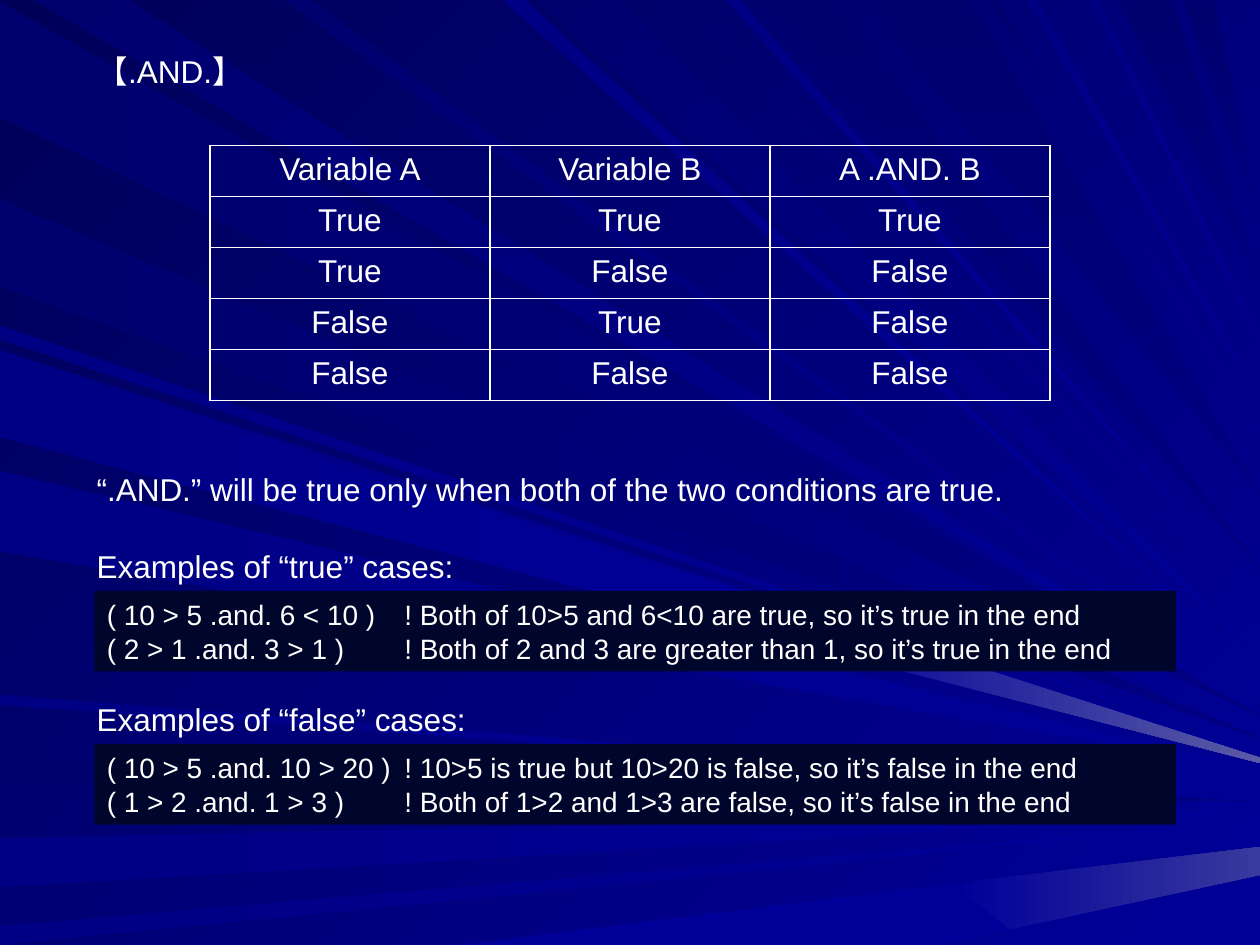
from lxml import etree
from pptx import Presentation
from pptx.dml.color import RGBColor
from pptx.enum.shapes import MSO_SHAPE
from pptx.enum.text import MSO_ANCHOR, MSO_AUTO_SIZE, PP_ALIGN
from pptx.oxml.ns import qn
from pptx.util import Pt

RECTANGLE = MSO_SHAPE.RECTANGLE
TOP, MIDDLE = MSO_ANCHOR.TOP, MSO_ANCHOR.MIDDLE
LEFT, CENTER = PP_ALIGN.LEFT, PP_ALIGN.CENTER
NO_FIT = MSO_AUTO_SIZE.NONE

WHITE = RGBColor.from_string("FFFFFF")
CODE_FILL = RGBColor.from_string("00062B")
SKY_DARK = RGBColor.from_string("000058")
SKY_LIGHT = RGBColor.from_string("000099")
NIGHT = RGBColor.from_string("00006E")
DEEP = RGBColor.from_string("000080")
DUSK = RGBColor.from_string("000085")
HAZE = RGBColor.from_string("39399E")
GLOW = RGBColor.from_string("5A5AA6")

WIDTH, HEIGHT = 720, 540
LEFT_RAYS = [
    (NIGHT, DEEP, 0, [(1, 67), (114, 164), (429, 449)]),
    (DUSK, SKY_LIGHT, 0, [(186, 194), (200, 246), (269, 315), (397, 403), (479, 507), (529, 540)]),
]
TOP_RAYS = [
    (NIGHT, SKY_LIGHT, 45, [(19, 73), (162, 178), (307, 354), (389, 397), (565, 570)]),
    (DUSK, SKY_LIGHT, 45, [(287, 300), (415, 423), (587, 593), (623, 628)]),
    (NIGHT, DEEP, 90, [(436, 476), (494, 554), (639, 670), (676, 694)]),
]
BEAMS = [
    (SKY_LIGHT, None, 0, [(262, 540), (544, 505), (577, 531), (534, 540)]),
    (SKY_LIGHT, HAZE, 0, [(544, 505), (720, 484), (720, 500), (577, 531)]),
    (DUSK, SKY_LIGHT, 0, [(0, 204), (459, 349), (456, 368), (0, 250)]),
    (SKY_LIGHT, GLOW, 0, [(459, 349), (720, 433), (720, 436), (456, 368)]),
]

TRUTH_TABLE = [
    ("Variable A", "Variable B", "A .AND. B"),
    ("True", "True", "True"),
    ("True", "False", "False"),
    ("False", "True", "False"),
    ("False", "False", "False"),
]
STATEMENTS = [
    ("“.AND.” will be true only when both of the two conditions are true.", 0),
    ("Examples of “true” cases:", 22.2),
    ("Examples of “false” cases:", 66.2),
]
TRUE_CASES = [
    ("( 10 > 5 .and. 6 < 10 )", "! Both of 10>5 and 6<10 are true, so it’s true in the end"),
    ("( 2 > 1 .and. 3 > 1 )", "! Both of 2 and 3 are greater than 1, so it’s true in the end"),
]
FALSE_CASES = [
    ("( 10 > 5 .and. 10 > 20 )", "! 10>5 is true but 10>20 is false, so it’s false in the end"),
    ("( 1 > 2 .and. 1 > 3 )", "! Both of 1>2 and 1>3 are false, so it’s false in the end"),
]
COMMENT_TAB = Pt(170)


def apply(target, values):
    """Set each attribute named in values on target."""
    for attribute, value in values.items():
        setattr(target, attribute, value)


def paint(fill, start, end=None, angle=0):
    """Fill with a solid colour, or a gradient at a clockwise angle."""
    if end is None:
        fill.solid()
        fill.fore_color.rgb = start
        return
    fill.gradient()
    fill.gradient_angle = (360 - angle) % 360
    for stop, color in zip(fill.gradient_stops, (start, end)):
        stop.color.rgb = color


def write(paragraph, text, size, align=LEFT, before=0):
    """Put white Arial text into a paragraph."""
    paragraph.text = text
    apply(paragraph, {"alignment": align, "space_before": Pt(before), "space_after": Pt(0)})
    apply(paragraph.font, {"name": "Arial", "size": Pt(size), "bold": False})
    paragraph.font.color.rgb = WHITE


def place(shape, left, top, width, height):
    """Move a placeholder to a box and prepare its text frame."""
    apply(shape, {"left": left, "top": top, "width": width, "height": height})
    apply(shape.text_frame, {"word_wrap": True, "auto_size": NO_FIT, "vertical_anchor": TOP})


def left_ray(start, end):
    """Return a ray from the left edge to its tip on the right edge."""
    return [(0, start), (WIDTH, 405 + 0.06 * (start + end)), (0, end)]


def top_ray(start, end):
    """Return a ray from the top edge to its tip on the right edge."""
    middle = (start + end) / 2 / WIDTH
    return [(start, 0), (WIDTH, 407 - 324 * middle**3), (end, 0)]


def add_ray(rays, points, colors):
    """Add one filled outline, its points given in points."""
    outline = rays.build_freeform(*points[0], scale=Pt(1))
    outline.add_line_segments(points[1:], close=True)
    ray = outline.convert_to_shape()
    paint(ray.fill, *colors)
    ray.line.fill.background()
    ray.shadow.inherit = False


def add_background(slide):
    """Draw the gradient sky and its light rays."""
    paint(slide.background.fill, SKY_DARK, SKY_LIGHT, 45)
    rays = slide.shapes.add_group_shape().shapes
    for outline, families in ((left_ray, LEFT_RAYS), (top_ray, TOP_RAYS)):
        for *colors, spans in families:
            for span in spans:
                add_ray(rays, outline(*span), colors)
    for *colors, points in BEAMS:
        add_ray(rays, points, colors)


def add_heading(slide, *box):
    """Place the operator name in the title placeholder."""
    heading = slide.shapes.title
    place(heading, *box)
    write(heading.text_frame.paragraphs[0], "【.AND.】", 18)


def add_statements(slide, *box):
    """Place the explanation lines in the body placeholder."""
    body = slide.placeholders[1]
    place(body, *box)
    frame = body.text_frame
    for index, (text, before) in enumerate(STATEMENTS):
        paragraph = frame.add_paragraph() if index else frame.paragraphs[0]
        write(paragraph, text, 18, before=before)
        properties = paragraph._p.get_or_add_pPr()
        properties.set("marL", "0")
        properties.set("indent", "0")
        etree.SubElement(properties, qn("a:buNone"))


def set_borders(cell):
    """Give a cell white one-point borders."""
    properties = cell._tc.get_or_add_tcPr()
    for position, side in enumerate(("lnL", "lnR", "lnT", "lnB")):
        border = etree.Element(qn(f"a:{side}"), w=str(int(Pt(1))))
        solid = etree.SubElement(border, qn("a:solidFill"))
        etree.SubElement(solid, qn("a:srgbClr"), val=str(WHITE))
        properties.insert(position, border)


def add_truth_table(slide, left, top, width, height):
    """Add the truth table with equal rows and columns."""
    rows, columns = len(TRUTH_TABLE), len(TRUTH_TABLE[0])
    table = slide.shapes.add_table(rows, columns, left, top, width, height).table
    apply(table, {"first_row": False, "horz_banding": False})
    for row, values in enumerate(TRUTH_TABLE):
        for column, value in enumerate(values):
            cell = table.cell(row, column)
            write(cell.text_frame.paragraphs[0], value, 18, CENTER)
            cell.fill.background()
            set_borders(cell)


def add_code_box(slide, cases, left, top, width, height):
    """Add a dark box with conditions and tabbed comments."""
    code = slide.shapes.add_shape(RECTANGLE, left, top, width, height)
    paint(code.fill, CODE_FILL)
    code.line.fill.background()
    code.shadow.inherit = False
    frame = code.text_frame
    apply(frame, {"word_wrap": True, "vertical_anchor": MIDDLE})
    for index, case in enumerate(cases):
        paragraph = frame.add_paragraph() if index else frame.paragraphs[0]
        write(paragraph, "\t".join(case), 16)
        properties = paragraph._p.get_or_add_pPr()
        tabs = etree.Element(qn("a:tabLst"))
        etree.SubElement(tabs, qn("a:tab"), pos=str(int(COMMENT_TAB)), algn="l")
        properties.find(qn("a:defRPr")).addprevious(tabs)


def main():
    """Build and save the slide."""
    deck = Presentation()
    apply(deck, {"slide_width": Pt(WIDTH), "slide_height": Pt(HEIGHT)})
    slide = deck.slides.add_slide(deck.slide_layouts[1])
    add_background(slide)
    add_heading(slide, Pt(48), Pt(26), Pt(648), Pt(32))
    add_statements(slide, Pt(48), Pt(265), Pt(648), Pt(160))
    for placeholder in list(slide.placeholders):
        slide.shapes._spTree.append(placeholder._element)
    add_truth_table(slide, Pt(120), Pt(83), Pt(480), Pt(146))
    for cases, top in ((TRUE_CASES, 337.7), (FALSE_CASES, 425.2)):
        add_code_box(slide, cases, Pt(54), Pt(top), Pt(618), Pt(46))
    deck.save("out.pptx")


if __name__ == "__main__":
    main()
